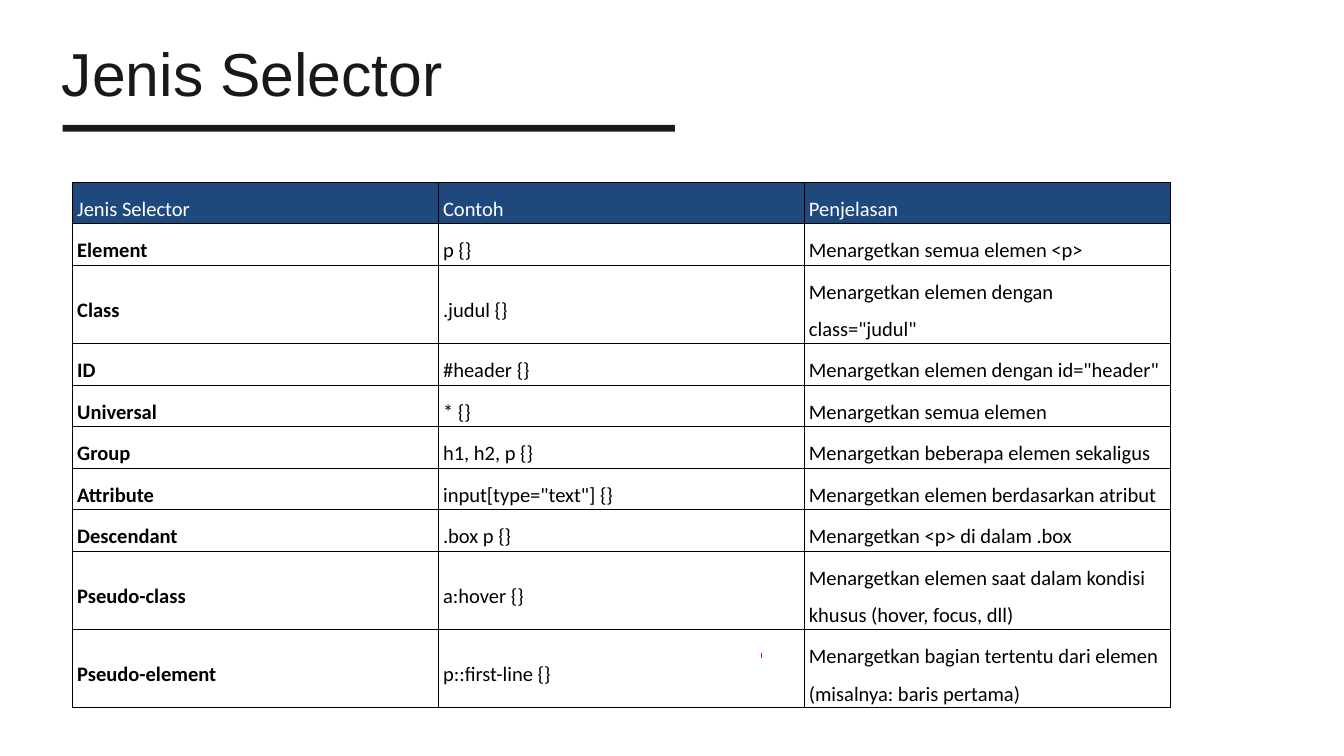
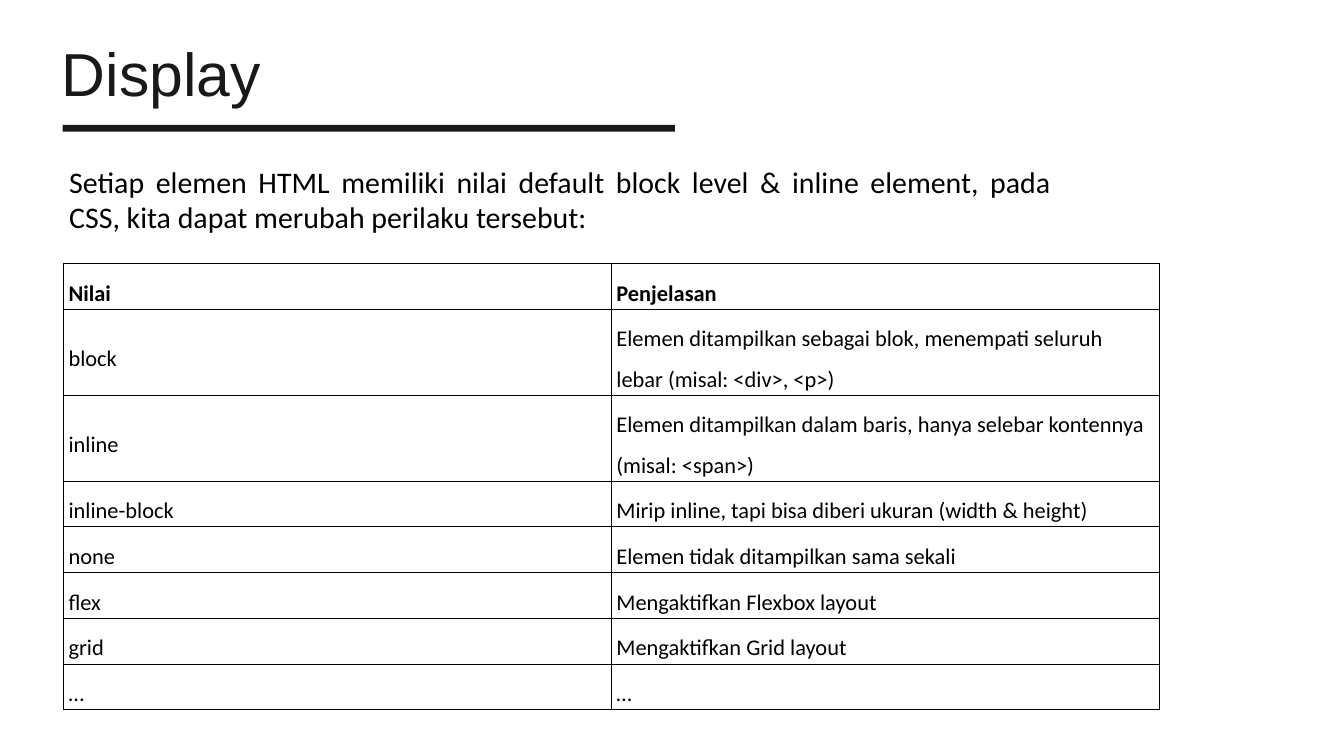
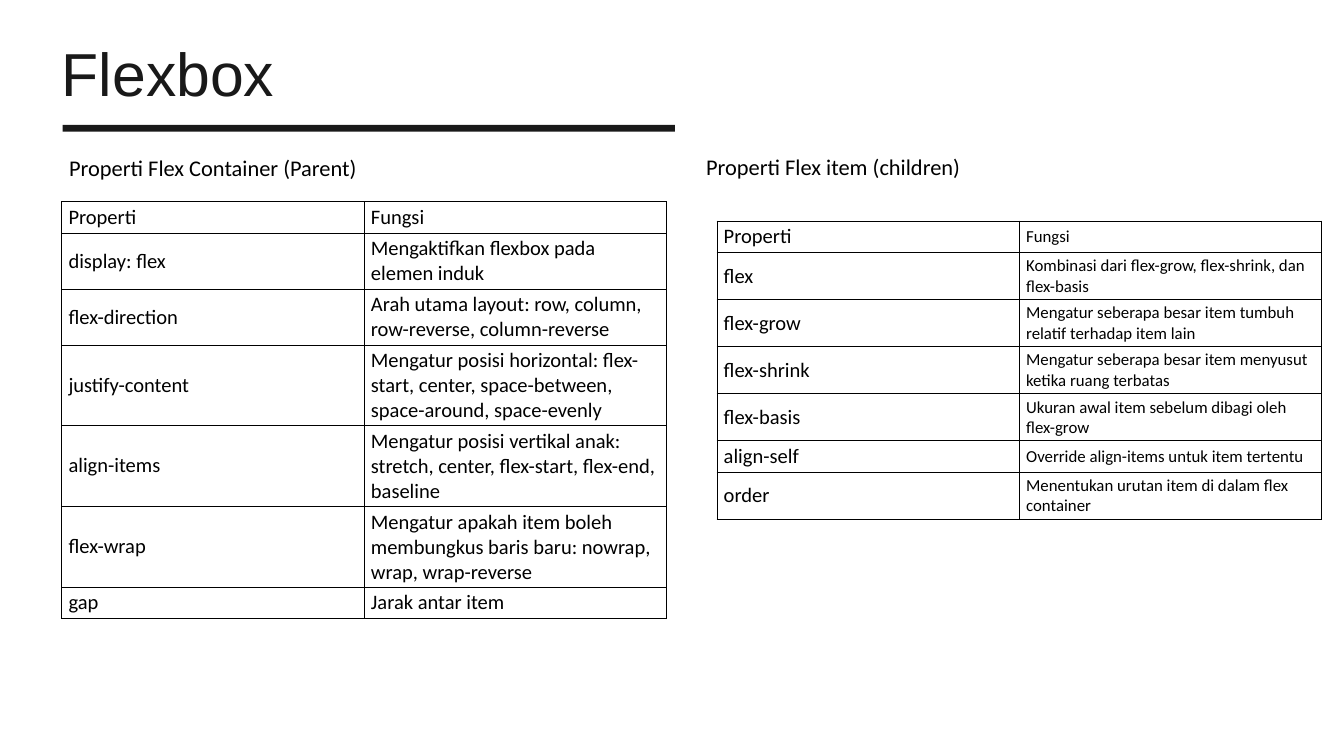
from lxml.etree import SubElement
from pptx import Presentation
from pptx.dml.color import RGBColor
from pptx.enum.shapes import MSO_CONNECTOR, MSO_SHAPE
from pptx.enum.text import MSO_ANCHOR, MSO_AUTO_SIZE, PP_ALIGN
from pptx.oxml.ns import qn
from pptx.util import Pt

INK, BLACK, WHITE, NAVY, RED = "191919", "000000", "FFFFFF", "1F497D", "FF0000"


def paint(fill, color):
    if color is None:
        fill.background()
    else:
        fill.solid()
        fill.fore_color.rgb = RGBColor.from_string(color)


def write(frame, text, size=22, font="Calibri", color=BLACK, bold=False,
          align=PP_ALIGN.LEFT, spacing=None):
    frame.word_wrap = True
    paragraph = frame.paragraphs[0]
    paragraph.alignment = align
    paragraph.line_spacing = spacing
    run = paragraph.add_run()
    run.text = text
    run.font.size = Pt(size)
    run.font.name = font
    run.font.bold = bold
    paint(run.font.fill, color)


selectors = {
    "at": (77.76, 195.12), "widths": [392] * 3, "sizes": [22] * 3,
    "heights": [44.5, 44.5, 84] + [44.5] * 5 + [84, 84],
    "margins": (5, 2.4), "spacing": 1.5, "header": (NAVY, WHITE, False),
    "body_fill": None, "bold_first": True,
    "rows": [
        ("Jenis Selector", "Contoh", "Penjelasan"),
        ("Element", "p {}", "Menargetkan semua elemen <p>"),
        ("Class", ".judul {}", 'Menargetkan elemen dengan class="judul"'),
        ("ID", "#header {}", 'Menargetkan elemen dengan id="header"'),
        ("Universal", "* {}", "Menargetkan semua elemen"),
        ("Group", "h1, h2, p {}", "Menargetkan beberapa elemen sekaligus"),
        ("Attribute", 'input[type="text"] {}', "Menargetkan elemen berdasarkan atribut"),
        ("Descendant", ".box p {}", "Menargetkan <p> di dalam .box"),
        ("Pseudo-class", "a:hover {}",
         "Menargetkan elemen saat dalam kondisi khusus (hover, focus, dll)"),
        ("Pseudo-element", "p::first-line {}",
         "Menargetkan bagian tertentu dari elemen (misalnya: baris pertama)"),
    ],
}
display_values = {
    "at": (67.68, 282.24), "widths": [587] * 2, "sizes": [24] * 2,
    "heights": [49, 92, 92] + [49] * 5,
    "margins": (5.76, 2.88), "spacing": 1.5, "header": (WHITE, BLACK, True),
    "body_fill": WHITE, "bold_first": False,
    "rows": [
        ("Nilai", "Penjelasan"),
        ("block", "Elemen ditampilkan sebagai blok, menempati seluruh lebar (misal: <div>, <p>)"),
        ("inline", "Elemen ditampilkan dalam baris, hanya selebar kontennya (misal: <span>)"),
        ("inline-block", "Mirip inline, tapi bisa diberi ukuran (width & height)"),
        ("none", "Elemen tidak ditampilkan sama sekali"),
        ("flex", "Mengaktifkan Flexbox layout"),
        ("grid", "Mengaktifkan Grid layout"),
        ("…", "…"),
    ],
}
flex_style = {
    "widths": [324] * 2, "margins": (7.2, 3.6), "spacing": None,
    "header": (None, BLACK, False), "body_fill": None, "bold_first": False,
}
flex_container = flex_style | {
    "at": (66.24, 216), "sizes": [22, 22], "heights": [33, 60, 60, 86, 86, 86, 33],
    "rows": [
        ("Properti", "Fungsi"),
        ("display: flex", "Mengaktifkan flexbox pada elemen induk"),
        ("flex-direction", "Arah utama layout: row, column, row-reverse, column-reverse"),
        ("justify-content", "Mengatur posisi horizontal: flex-start, center, "
                            "space-between, space-around, space-evenly"),
        ("align-items", "Mengatur posisi vertikal anak: stretch, center, "
                        "flex-start, flex-end, baseline"),
        ("flex-wrap", "Mengatur apakah item boleh membungkus baris baru: "
                      "nowrap, wrap, wrap-reverse"),
        ("gap", "Jarak antar item"),
    ],
}
flex_item = flex_style | {
    "at": (768.24, 236.88), "sizes": [22, 18], "heights": [33, 50, 50, 50, 50, 33, 50],
    "rows": [
        ("Properti", "Fungsi"),
        ("flex", "Kombinasi dari flex-grow, flex-shrink, dan flex-basis"),
        ("flex-grow", "Mengatur seberapa besar item tumbuh relatif terhadap item lain"),
        ("flex-shrink", "Mengatur seberapa besar item menyusut ketika ruang terbatas"),
        ("flex-basis", "Ukuran awal item sebelum dibagi oleh flex-grow"),
        ("align-self", "Override align-items untuk item tertentu"),
        ("order", "Menentukan urutan item di dalam flex container"),
    ],
}
lessons = [
    ("Jenis Selector", [], [selectors]),
    ("Display",
     [("Setiap elemen HTML memiliki nilai default block level & inline element, "
       "pada CSS, kita dapat merubah perilaku tersebut:", 32, (67, 171.4, 1067, 162.7))],
     [display_values]),
    ("Flexbox",
     [("Properti Flex Container (Parent)", 24, (67, 162, 419, 36)),
      ("Properti Flex item (children)", 24, (749.5, 160.6, 419, 36))],
     [flex_container, flex_item]),
]

deck = Presentation()
deck.slide_width, deck.slide_height = Pt(1440), Pt(810)

for heading, intros, tables in lessons:
    slide = deck.slides.add_slide(deck.slide_layouts[5])
    paint(slide.background.fill, WHITE)

    title = slide.shapes.title
    title.left, title.top, title.width, title.height = Pt(66.24), Pt(33.12), Pt(892.8), Pt(77.76)
    title_frame = title.text_frame
    title_frame.margin_left = title_frame.margin_right = 0
    title_frame.margin_top = title_frame.margin_bottom = 0
    title_frame.vertical_anchor = MSO_ANCHOR.TOP
    title_frame.auto_size = MSO_AUTO_SIZE.SHAPE_TO_FIT_TEXT
    write(title_frame, heading, size=65, font="Arial", color=INK, spacing=Pt(83.2))

    underline = slide.shapes.add_shape(
        MSO_SHAPE.RECTANGLE, Pt(67), Pt(133.92), Pt(656), Pt(7.2))
    underline.shadow.inherit = False
    paint(underline.fill, INK)
    paint(underline.line.fill, None)

    if tables[0] is selectors:
        tick = slide.shapes.add_connector(
            MSO_CONNECTOR.STRAIGHT, Pt(815.76), Pt(699.12), Pt(815.76), Pt(704.88))
        tick.line.width = Pt(0.75)
        paint(tick.line.fill, RED)
        SubElement(tick._element.spPr, qn("a:effectLst"))

    for sentence, size, box in intros:
        intro = slide.shapes.add_textbox(*map(Pt, box))
        intro.text_frame.auto_size = MSO_AUTO_SIZE.SHAPE_TO_FIT_TEXT
        write(intro.text_frame, sentence, size=size, align=PP_ALIGN.JUSTIFY)

    for part in tables:
        rows, widths, heights = part["rows"], part["widths"], part["heights"]
        left, top = part["at"]
        grid = slide.shapes.add_table(
            len(rows), len(widths), Pt(left), Pt(top), Pt(sum(widths)), Pt(sum(heights))).table
        grid.first_row = grid.horz_banding = False
        for column, width in zip(grid.columns, widths):
            column.width = Pt(width)
        for row, height in zip(grid.rows, heights):
            row.height = Pt(height)

        side, edge = map(Pt, part["margins"])
        for r, entries in enumerate(rows):
            for c, entry in enumerate(entries):
                cell = grid.cell(r, c)
                cell.vertical_anchor = MSO_ANCHOR.MIDDLE
                cell.margin_left = cell.margin_right = side
                cell.margin_top = cell.margin_bottom = edge
                for border in ("a:lnL", "a:lnR", "a:lnT", "a:lnB"):
                    line = SubElement(cell._tc.tcPr, qn(border), w=str(Pt(1)))
                    SubElement(SubElement(line, qn("a:solidFill")), qn("a:srgbClr"), val=BLACK)
                body = (part["body_fill"], BLACK, part["bold_first"] and c == 0)
                background, color, bold = part["header"] if r == 0 else body
                paint(cell.fill, background)
                write(cell.text_frame, entry, size=part["sizes"][c], color=color,
                      bold=bold, spacing=part["spacing"])

deck.save("out.pptx")
